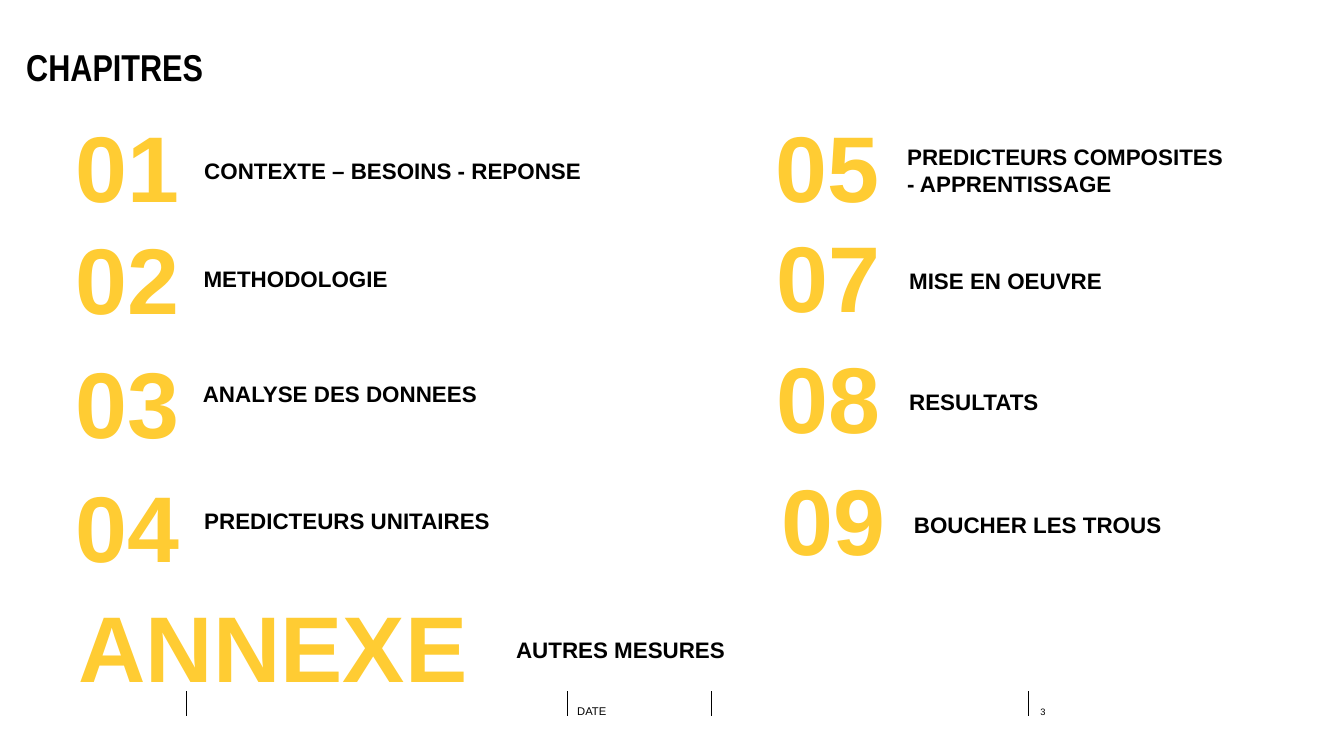
from lxml import etree
from pptx import Presentation
from pptx.dml.color import RGBColor
from pptx.enum.shapes import MSO_CONNECTOR, MSO_SHAPE
from pptx.enum.text import MSO_ANCHOR, MSO_AUTO_SIZE, PP_ALIGN
from pptx.oxml.ns import qn
from pptx.util import Pt

PX = 4572  # 200 px to the inch
COLORS = {"number": "FFCC33", "text": "000000"}


def write(shape, text, size, color="text", font="Arial", bold=True,
          anchor=MSO_ANCHOR.BOTTOM, wrap=False):
    frame = shape.text_frame
    frame.margin_left = frame.margin_right = frame.margin_top = frame.margin_bottom = 0
    frame.auto_size = MSO_AUTO_SIZE.NONE
    frame.word_wrap = wrap
    frame.vertical_anchor = anchor
    frame.text = text
    for paragraph in frame.paragraphs:
        paragraph.alignment = PP_ALIGN.LEFT
        paragraph.font.name = font
        paragraph.font.size = Pt(size)
        paragraph.font.bold = bold
        paragraph.font.color.rgb = RGBColor.from_string(COLORS[color])


def add_block(left, top, width, height):
    """Add an unfilled rectangle that only carries text."""
    shape = slide.shapes.add_shape(MSO_SHAPE.FLOWCHART_PROCESS,
                                   left * PX, top * PX, width * PX, height * PX)
    shape.shadow.inherit = False
    shape.fill.background()
    shape.line.fill.background()
    return shape


presentation = Presentation()
presentation.slide_width = 2000 * PX
presentation.slide_height = 1125 * PX
slide = presentation.slides.add_slide(presentation.slide_layouts[5])

title = slide.shapes.title
title.left, title.top, title.width, title.height = 39 * PX, 66 * PX, 1842 * PX, 56 * PX
write(title, "CHAPITRES", 20, font="Arial Narrow", anchor=MSO_ANCHOR.TOP, wrap=True)

# Number, its left and top, then label, its left, top and width
chapters = [
    ("01", 113, 181, "CONTEXTE – BESOINS - REPONSE", 304, 182, 928),
    ("02", 113, 348, "METHODOLOGIE", 303, 342, 928),
    ("03", 113, 532, "ANALYSE DES DONNEES", 302, 514, 928),
    ("04", 113, 717, "PREDICTEURS UNITAIRES", 304, 703, 928),
    ("05", 1154, 181, "PREDICTEURS COMPOSITES\n- APPRENTISSAGE", 1350, 201, 928),
    ("07", 1156, 345, "MISE EN OEUVRE", 1353, 346, 928),
    ("08", 1156, 525, "RESULTATS", 1353, 526, 928),
    ("09", 1163, 707, "BOUCHER LES TROUS", 1360, 708, 424),
    ("ANNEXE", 117, 896, "AUTRES MESURES", 768, 894, 928),
]
for number, number_left, number_top, label, label_left, label_top, label_width in chapters:
    write(add_block(number_left, number_top, 160, 148), number, 50, color="number")
    write(add_block(label_left, label_top, label_width, 92), label, 12)

# Footer
for x in (278, 844, 1059, 1530):
    divider = slide.shapes.add_connector(MSO_CONNECTOR.STRAIGHT,
                                         x * PX, 1029 * PX, x * PX, 1065 * PX)
    divider.line.width = Pt(0.5)
    divider.line.color.rgb = RGBColor.from_string(COLORS["text"])
    etree.SubElement(divider._element.spPr, qn("a:effectLst"))

for text, left, top, width, height, size in (("DATE", 859, 1032, 196, 36, 6),
                                             ("3", 1548, 1044, 58, 24, 5)):
    box = slide.shapes.add_textbox(left * PX, top * PX, width * PX, height * PX)
    write(box, text, size, bold=False, wrap=True)

presentation.save("out.pptx")
